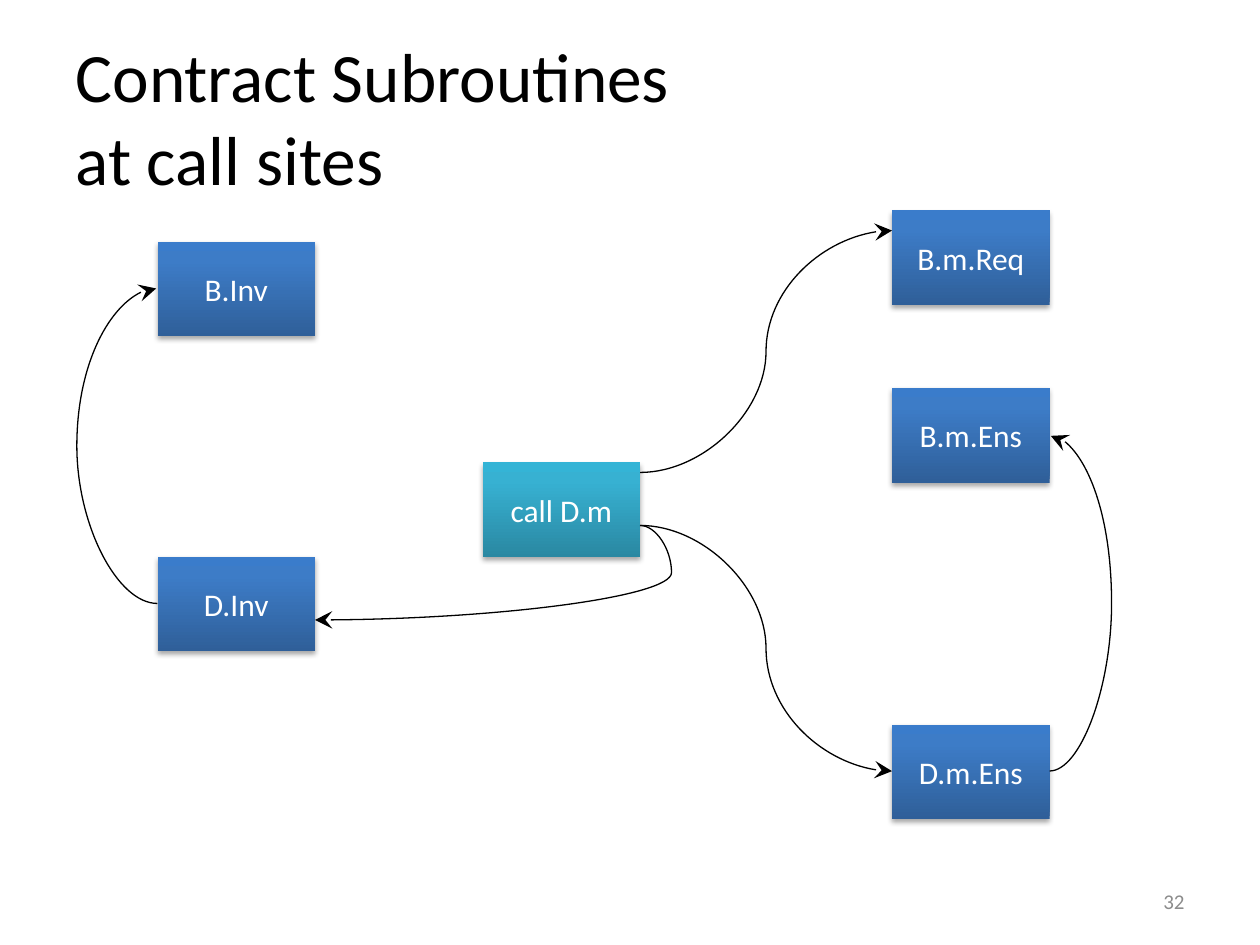
import copy
import lxml.etree
import pptx
import pptx.dml.color
import pptx.enum.shapes
import pptx.enum.text
import pptx.oxml.ns
import pptx.util

Inches = pptx.util.Inches
qn = pptx.oxml.ns.qn
Align = pptx.enum.text.PP_ALIGN
COLORS = {"black": "000000", "white": "FFFFFF", "gray": "8C8C8C"}
FILLS = {
    "blue": ("2F5F99", "3D7CC7", "3A7CCB"),
    "teal": ("2A88A2", "37B1D2", "34B4D6"),
}
BOXES = [
    ("call D.m", 3.83, 3.67, "teal"),
    ("B.Inv", 1.25, 1.92, "blue"),
    ("B.m.Req", 7.08, 1.67, "blue"),
    ("B.m.Ens", 7.08, 3.08, "blue"),
    ("D.Inv", 1.25, 4.42, "blue"),
    ("D.m.Ens", 7.08, 5.75, "blue"),
]
CURVES = [
    ((5.08, 4.17), (7.08, 6.12), 6.08),
    ((5.08, 3.75), (7.08, 1.83), 6.08),
    ((5.08, 4.17), (2.5, 4.92), 5.33),
    ((1.25, 4.79), (1.24, 2.29), 0.6),
    ((8.33, 6.12), (8.34, 3.46), 8.83),
]


def rgb(code):
    return pptx.dml.color.RGBColor.from_string(code)


def put_text(shape, text, size, color, align):
    frame = shape.text_frame
    frame.text = text
    frame.word_wrap = True
    frame.auto_size = pptx.enum.text.MSO_AUTO_SIZE.NONE
    frame.vertical_anchor = pptx.enum.text.MSO_ANCHOR.MIDDLE
    para = frame.paragraphs[0]
    para.alignment = align
    for run in para.runs:
        run.font.size = pptx.util.Pt(size)
        run.font.name = "Calibri"
        run.font.color.rgb = rgb(COLORS[color])


def add_title(slide, text):
    title = slide.shapes.title
    title.left, title.top = Inches(0.5), Inches(0.3)
    title.width, title.height = Inches(9), Inches(1.25)
    put_text(title, text, 39.6, "black", Align.LEFT)


def add_number(slide, text):
    box = slide.shapes.add_textbox(Inches(7.17), Inches(6.95), Inches(2.33), Inches(0.4))
    put_text(box, text, 12, "gray", Align.RIGHT)


def fill_box(shape, codes):
    shape.fill.gradient()
    shape.fill.gradient_angle = 90
    stops = shape._element.spPr.find(qn("a:gradFill")).find(qn("a:gsLst"))
    stops.append(copy.deepcopy(stops[-1]))
    for stop, spot, code in zip(shape.fill.gradient_stops, (0, 0.8, 1), codes):
        stop.position = spot
        stop.color.rgb = rgb(code)


def add_shadow(shape):
    shape.shadow.inherit = False
    effect = shape._element.spPr.find(qn("a:effectLst"))
    shade = lxml.etree.SubElement(
        effect, qn("a:outerShdw"), blurRad=str(pptx.util.Pt(3.1)),
        dist=str(pptx.util.Pt(1.8)), dir="5400000", rotWithShape="0")
    color = lxml.etree.SubElement(shade, qn("a:srgbClr"), val=COLORS["black"])
    lxml.etree.SubElement(color, qn("a:alpha"), val="35000")


def add_box(slide, text, left, top, fill):
    box = slide.shapes.add_shape(
        pptx.enum.shapes.MSO_SHAPE.RECTANGLE,
        Inches(left), Inches(top), Inches(1.25), Inches(0.75))
    fill_box(box, FILLS[fill])
    box.line.fill.background()
    add_shadow(box)
    put_text(box, text, 18, "white", Align.CENTER)


def add_curve(slide, start, end, bend):
    curve = slide.shapes.add_connector(
        pptx.enum.shapes.MSO_CONNECTOR.CURVE, *map(Inches, start + end))
    curve.line.color.rgb = rgb(COLORS["black"])
    curve.line.width = pptx.util.Pt(0.75)
    props = curve._element.spPr
    ratio = (bend - start[0]) / (end[0] - start[0])
    guides = props.find(qn("a:prstGeom")).find(qn("a:avLst"))
    lxml.etree.SubElement(
        guides, qn("a:gd"), name="adj1", fmla=f"val {round(ratio * 100000)}")
    lxml.etree.SubElement(props.find(qn("a:ln")), qn("a:tailEnd"), type="stealth", w="lg", len="lg")
    lxml.etree.SubElement(props, qn("a:effectLst"))


def main():
    deck = pptx.Presentation()
    deck.slide_width, deck.slide_height = Inches(10), Inches(7.5)
    slide = deck.slides.add_slide(deck.slide_layouts[5])
    add_title(slide, "Contract Subroutines\vat call sites")
    add_number(slide, "32")
    for box in BOXES:
        add_box(slide, *box)
    for curve in CURVES:
        add_curve(slide, *curve)
    deck.save("out.pptx")


if __name__ == "__main__":
    main()
